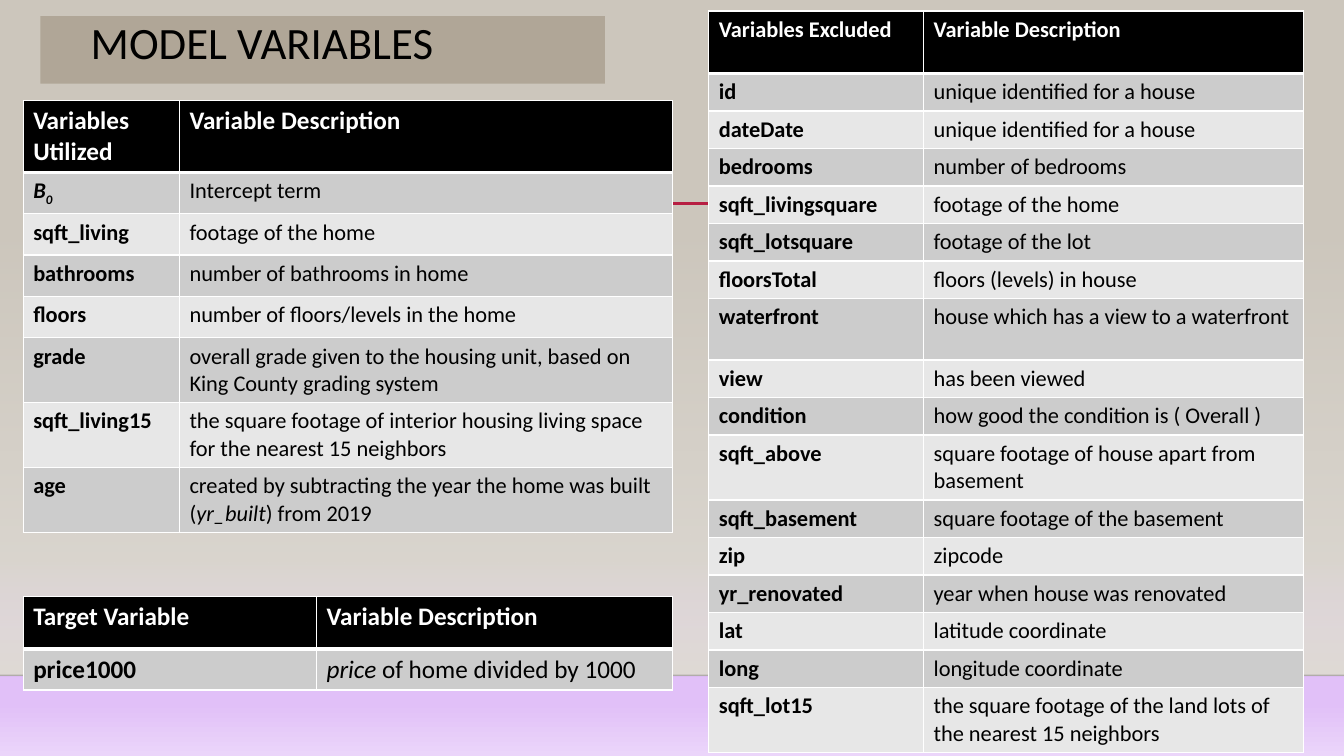
from lxml import etree
from pptx import Presentation
from pptx.dml.color import RGBColor
from pptx.enum import shapes, text
from pptx.oxml import parse_xml
from pptx.oxml.ns import nsdecls, qn
from pptx.util import Inches, Pt

COLORS = {
    "black": "000000", "white": "FFFFFF", "title": "B0A697", "accent": "B71E42",
    "edge": "000001", "dark_band": "CCCCCC", "light_band": "E7E7E7",
    "taupe": "CCC6BC", "lilac": "E1C0F8", "pale_lilac": "EBD5FA", "sand": "DFDBD5",
}

UTILIZED = [
    ("Variables Utilized", "Variable Description"),
    ([("B", "i"), ("0", "i sub")], "Intercept term"),
    ("sqft_living", "footage of the home"),
    ("bathrooms", "number of bathrooms in home"),
    ("floors", "number of floors/levels in the home"),
    ("grade", "overall grade given to the housing unit, based on King County grading system"),
    ("sqft_living15",
     "the square footage of interior housing living space for the nearest 15 neighbors"),
    ("age", [("created by subtracting the year the home was built (", ""),
             ("yr_built", "i"), (") from 2019", "")]),
]
TARGET = [
    ("Target Variable", "Variable Description"),
    ("price1000", [("price", "i"), (" of home divided by 1000", "")]),
]
EXCLUDED = [
    ("Variables Excluded", "Variable Description"),
    ("id", "unique identified for a house"),
    ("dateDate", "unique identified for a house"),
    ("bedrooms", "number of bedrooms"),
    ("sqft_livingsquare", "footage of the home"),
    ("sqft_lotsquare", "footage of the lot"),
    ("floorsTotal", "floors (levels) in house"),
    ("waterfront", "house which has a view to a waterfront"),
    ("view", "has been viewed"),
    ("condition", "how good the condition is ( Overall )"),
    ("sqft_above", "square footage of house apart from basement"),
    ("sqft_basement", "square footage of the basement"),
    ("zip", "zipcode"),
    ("yr_renovated", "year when house was renovated"),
    ("lat", "latitude coordinate"),
    ("long", "longitude coordinate"),
    ("sqft_lot15", "the square footage of the land lots of the nearest 15 neighbors"),
]


def rgb(name):
    return RGBColor.from_string(COLORS[name])


def set_gradient(fill_parent, stops):
    """Swap the solid fill for a top-to-bottom gradient of (percent, colour, opacity)."""
    gs = "".join(
        f'<a:gs pos="{pos * 1000}"><a:srgbClr val="{COLORS[color]}">'
        f'<a:alpha val="{opacity * 1000}"/></a:srgbClr></a:gs>'
        for pos, color, opacity in stops)
    gradient = parse_xml(f'<a:gradFill {nsdecls("a")} rotWithShape="1"><a:gsLst>{gs}</a:gsLst>'
                         '<a:lin ang="5400000" scaled="0"/></a:gradFill>')
    solid = fill_parent.find(qn("a:solidFill"))
    fill_parent.replace(solid, gradient)


def set_borders(cell, bottom, top):
    """Draw white cell borders; widths in points."""
    tcPr = cell._tc.get_or_add_tcPr()
    for side, width in (("L", 1), ("R", 1), ("T", top), ("B", bottom)):
        tcPr.append(parse_xml(
            f'<a:ln{side} {nsdecls("a")} w="{Pt(width)}"><a:solidFill>'
            f'<a:srgbClr val="{COLORS["white"]}"/></a:solidFill></a:ln{side}>'))


class SlideBuilder:
    font = "Calibri"

    def __init__(self, prs):
        self.slide = prs.slides.add_slide(prs.slide_layouts[6])

    def background(self, stops):
        fill = self.slide.background.fill
        fill.solid()
        fill.fore_color.rgb = rgb("taupe")
        set_gradient(self.slide._element.cSld.find(".//" + qn("p:bgPr")), stops)

    def rect(self, x, y, w, h, color):
        sp = self.slide.shapes.add_shape(
            shapes.MSO_SHAPE.RECTANGLE, Inches(x), Inches(y), Inches(w), Inches(h))
        sp.shadow.inherit = False
        sp.fill.solid()
        sp.fill.fore_color.rgb = rgb(color)
        sp.line.fill.background()
        return sp

    def line(self, x1, x2, y, color, width, opacity=100):
        line = self.slide.shapes.add_connector(
            shapes.MSO_CONNECTOR.STRAIGHT, Inches(x1), Inches(y), Inches(x2), Inches(y))
        line.line.color.rgb = rgb(color)
        line.line.width = Pt(width)
        spPr = line._element.spPr
        etree.SubElement(spPr, qn("a:effectLst"))
        alpha = etree.SubElement(spPr.find(".//" + qn("a:srgbClr")), qn("a:alpha"))
        alpha.set("val", str(opacity * 1000))

    def style(self, r, size, color, bold=False, marks=""):
        r.font.name = self.font
        r.font.size = Pt(size)
        r.font.color.rgb = rgb(color)
        r.font.bold = bold
        r.font.italic = "i" in marks.split()
        if "sub" in marks.split():
            r.font._element.set("baseline", "-25000")

    def title(self, x, y, w, h, wording):
        sp = self.rect(x, y, w, h, "title")
        tf = sp.text_frame
        tf.margin_left = Inches(0.5)
        tf.vertical_anchor = text.MSO_ANCHOR.TOP
        tf.text = wording
        p = tf.paragraphs[0]
        p.alignment = text.PP_ALIGN.LEFT
        p.line_spacing = 0.9
        self.style(p.runs[0], 32, "black")

    def cell(self, cell, content, size, color, bold, fill):
        p = cell.text_frame.paragraphs[0]
        for wording, marks in [(content, "")] if isinstance(content, str) else content:
            r = p.add_run()
            r.text = wording
            self.style(r, size, color, bold, marks)
        cell.fill.solid()
        cell.fill.fore_color.rgb = rgb(fill)

    def table(self, x, y, widths, heights, rows, head_size, body_size):
        table = self.slide.shapes.add_table(
            len(rows), len(widths), Inches(x), Inches(y),
            Inches(sum(widths)), Inches(sum(heights))).table
        for column, width in zip(table.columns, widths):
            column.width = Inches(width)
        for i, (row, height) in enumerate(zip(rows, heights)):
            table.rows[i].height = Inches(height)
            head = i == 0
            band = "dark_band" if i % 2 else "light_band"
            for j, content in enumerate(row):
                cell = table.cell(i, j)
                set_borders(cell, bottom=3 if head else 1, top=3 if i == 1 else 1)
                self.cell(cell, content, head_size if head else body_size,
                          "white" if head else "black", head or j == 0,
                          "black" if head else band)


def main():
    prs = Presentation()
    prs.slide_width, prs.slide_height = Inches(13.33), Inches(7.5)
    page = SlideBuilder(prs)

    page.background([(74, "taupe", 100), (83, "lilac", 100),
                     (93, "lilac", 100), (100, "pale_lilac", 100)])
    wall = page.rect(0, 2.21, 13.33, 4.49, "sand")
    set_gradient(wall._element.spPr, [(0, "sand", 0), (100, "sand", 100)])
    page.line(0, 13.33, 6.7, "edge", 1, opacity=20)
    page.line(1.59, 12.1, 2.02, "accent", 2.5)

    page.title(0.4, 0.16, 5.6, 0.67, "MODEL VARIABLES")
    page.table(0.23, 1, [1.55, 4.89], [0.71] + [0.41] * 4 + [0.64] * 3, UTILIZED, 18, 16)
    page.table(0.23, 5.92, [2.91, 3.53], [0.52, 0.4], TARGET, 18, 18)
    tall_rows = {0: 0.62, 7: 0.61, 10: 0.62, 16: 0.62}
    page.table(7.03, 0.11, [2.13, 3.77],
               [tall_rows.get(i, 0.36) for i in range(len(EXCLUDED))], EXCLUDED, 16, 16)

    prs.save("out.pptx")


if __name__ == "__main__":
    main()
